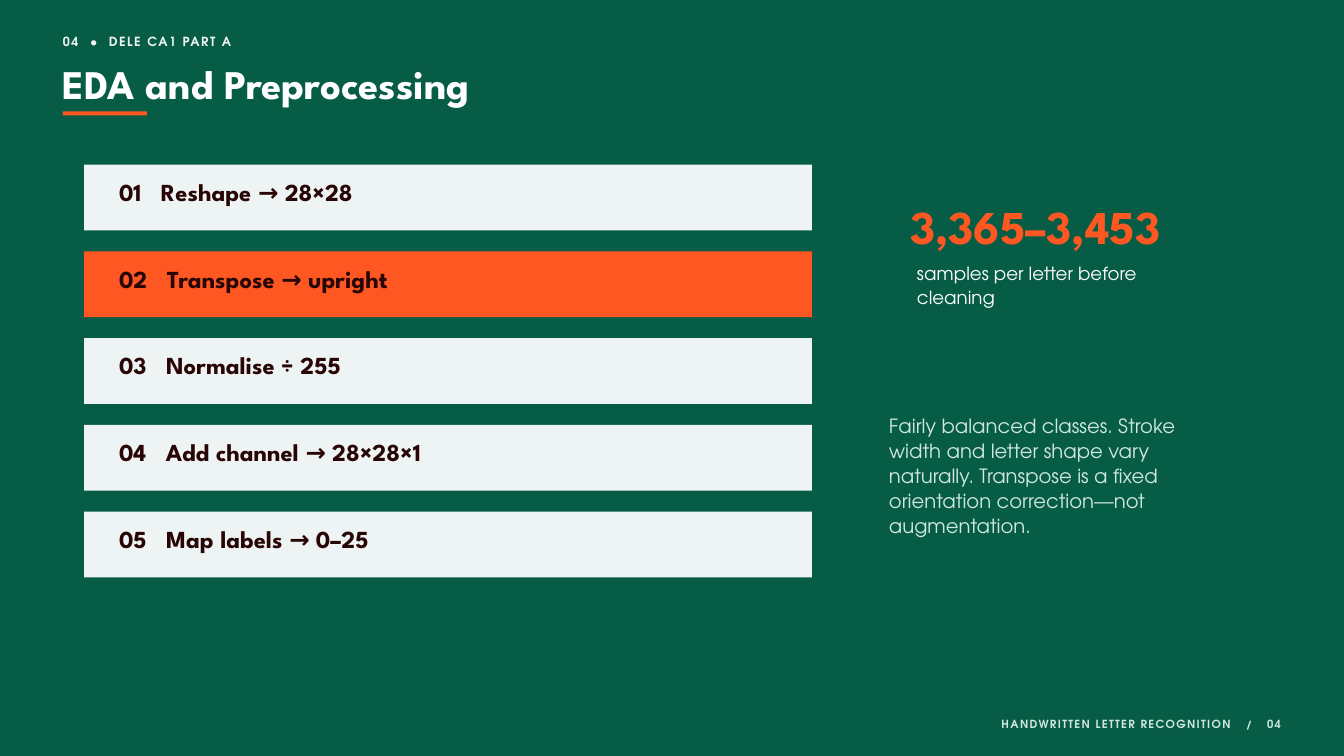
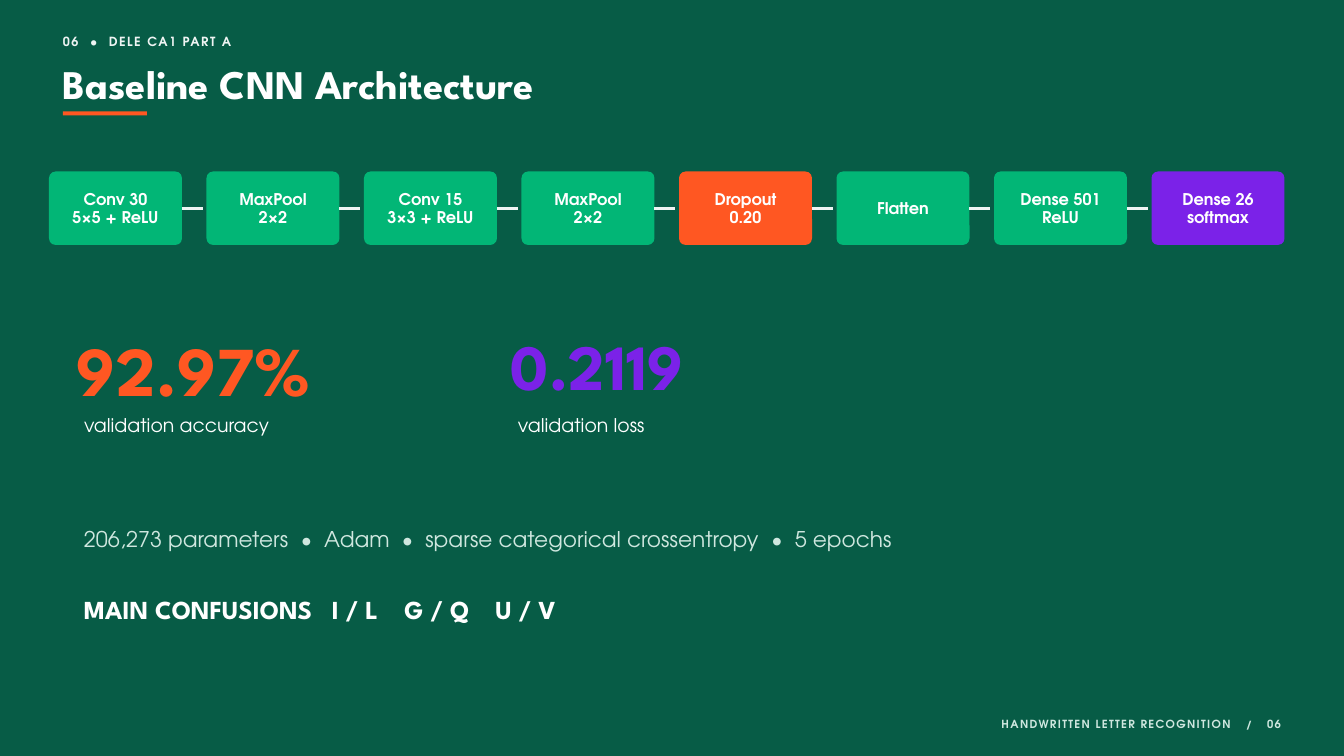
import pptx
import pptx.dml.color
import pptx.enum.shapes
import pptx.enum.text
import pptx.util
import lxml.etree

RGBColor = pptx.dml.color.RGBColor
MSO_SHAPE = pptx.enum.shapes.MSO_SHAPE
PP_ALIGN = pptx.enum.text.PP_ALIGN
ANCHOR = pptx.enum.text.MSO_ANCHOR

PX = 9525
GREEN = RGBColor(0x07, 0x5C, 0x46)
MINT = RGBColor(0x02, 0xB6, 0x76)
ORANGE = RGBColor(0xFF, 0x57, 0x22)
PURPLE = RGBColor(0x7B, 0x22, 0xE8)
WHITE = RGBColor(0xFF, 0xFF, 0xFF)
MIST = RGBColor(0xEE, 0xF4, 0xF3)
SAGE = RGBColor(0xCF, 0xE7, 0xDF)
MAROON = RGBColor(0x29, 0x06, 0x06)
HEADING = "League Spartan"
BODY = "TeX Gyre Adventor"


def write(shape, lines, size, leading, color, font=BODY, bold=False,
          align=PP_ALIGN.LEFT, tracking=0, insets=(0, 0, 0, 0), anchor=ANCHOR.TOP):
    """Each line is a list of strings; a number between them is extra space in points."""
    frame = shape.text_frame
    frame.word_wrap = True
    frame.vertical_anchor = anchor
    frame.margin_left, frame.margin_top, frame.margin_right, frame.margin_bottom = (
        inset * PX for inset in insets)
    for index, line in enumerate(lines):
        paragraph = frame.paragraphs[0] if index == 0 else frame.add_paragraph()
        paragraph.alignment = align
        paragraph.line_spacing = pptx.util.Pt(leading)
        for piece in line:
            is_text = isinstance(piece, str)
            run = paragraph.add_run()
            run.text = piece if is_text else " "
            run.font.name = font
            run.font.size = pptx.util.Pt(size)
            run.font.bold = bold
            run.font.color.rgb = color
            spacing = tracking if is_text else piece
            if spacing:
                run._r.get_or_add_rPr().set("spc", str(round(spacing * 100)))


def add_block(slide, left, top, width, height, fill=None, kind=MSO_SHAPE.RECTANGLE):
    area = [length * PX for length in (left, top, width, height)]
    if fill is None:
        box = slide.shapes.add_textbox(*area)
        box.text_frame.auto_size = pptx.enum.text.MSO_AUTO_SIZE.SHAPE_TO_FIT_TEXT
        return box
    block = slide.shapes.add_shape(kind, *area)
    block.shadow.inherit = False
    block.fill.solid()
    block.fill.fore_color.rgb = fill
    block.line.fill.background()
    return block


deck = pptx.Presentation()
deck.slide_width = 1920 * PX
deck.slide_height = 1080 * PX
backdrop = deck.slide_master.background.fill
backdrop.solid()
backdrop.fore_color.rgb = GREEN

pages = []
for number, title in [("04", "EDA and Preprocessing"), ("06", "Baseline CNN Architecture")]:
    page = deck.slides.add_slide(deck.slide_layouts[6])
    write(add_block(page, 90, 45, 600, 24), [[number, 7, "•", 7, "DELE CA1 PART A"]],
          13.5, 18.9, MIST, bold=True, tracking=1.62)
    write(add_block(page, 90, 94, 1500, 61), [[title]], 43.5, 44.4, WHITE, HEADING, True)
    add_block(page, 90, 159, 120, 6, ORANGE)
    write(add_block(page, 90, 1021, 1740, 20),
          [["HANDWRITTEN LETTER RECOGNITION", 11, "/", 11, number]],
          12, 16.8, SAGE, bold=True, align=PP_ALIGN.RIGHT, tracking=1.44)
    pages.append(page)

eda, architecture = pages

steps = ["Reshape → 28×28", "Transpose → upright", "Normalise ÷ 255",
         "Add channel → 28×28×1", "Map labels → 0–25"]
for index, step in enumerate(steps):
    bar = add_block(eda, 120, 235 + index * 124, 1040, 94, ORANGE if index == 1 else MIST)
    write(bar, [[f"{index + 1:02}", 13.8, step]], 26.25, 26.8, MAROON, HEADING, True,
          insets=(50, 24, 110, 0))

write(add_block(eda, 1300, 294, 470, 71), [["3,365–3,453"]], 50.25, 51.2, ORANGE, HEADING, True)
write(add_block(eda, 1310, 373, 400, 66), [["samples per letter before cleaning"]],
      19.5, 25, WHITE)
write(add_block(eda, 1270, 589, 480, 174),
      [["Fairly balanced classes. Stroke width and letter shape vary naturally. "
        "Transpose is a fixed orientation correction—not augmentation."]], 21, 26.9, SAGE)

layers = [(["Conv 30", "5×5 + ReLU"], MINT), (["MaxPool", "2×2"], MINT),
          (["Conv 15", "3×3 + ReLU"], MINT), (["MaxPool", "2×2"], MINT),
          (["Dropout", "0.20"], ORANGE), (["Flatten"], MINT),
          (["Dense 501", "ReLU"], MINT), (["Dense 26", "softmax"], PURPLE)]
for index, (label, color) in enumerate(layers):
    left = 70 + index * 225
    layer = add_block(architecture, left, 245, 190, 105, color, MSO_SHAPE.ROUNDED_RECTANGLE)
    layer.adjustments[0] = 0.09
    write(layer, [[line] for line in label], 17.25, 19, WHITE, bold=True,
          align=PP_ALIGN.CENTER, insets=(6, 8, 6, 6), anchor=ANCHOR.MIDDLE)
    if index < len(layers) - 1:
        middle = layer.top + layer.height // 2
        link = architecture.shapes.add_connector(
            pptx.enum.shapes.MSO_CONNECTOR.STRAIGHT,
            (left + 190) * PX, middle, (left + 220) * PX, middle)
        link.begin_connect(layer, 3)
        link.line.color.rgb = MIST
        link.line.width = pptx.util.Pt(3)
        lxml.etree.SubElement(link._element.spPr, pptx.oxml.ns.qn("a:effectLst"))

metrics = [(110, 484, "92.97%", 75, 76.5, ORANGE, "validation accuracy"),
           (730, 483, "0.2119", 69, 70.4, PURPLE, "validation loss")]
for left, top, value, size, leading, color, caption in metrics:
    write(add_block(architecture, left, top, 520, 102), [[value]],
          size, leading, color, HEADING, True)
    write(add_block(architecture, left + 10, 589, 460, 33), [[caption]], 20.25, 25.9, WHITE)

write(add_block(architecture, 120, 749, 1650, 37),
      [["206,273 parameters", 6.5, "•", 6.5, "Adam", 6.5, "•", 6.5,
        "sparse categorical crossentropy", 6.5, "•", 6.5, "5 epochs"]], 23.25, 29.8, SAGE)
write(add_block(architecture, 120, 855, 1650, 39),
      [["MAIN CONFUSIONS", 13.8, "I / L", 21, "G / Q", 21, "U / V"]],
      27.75, 28.3, WHITE, HEADING, True)

deck.save("out.pptx")
